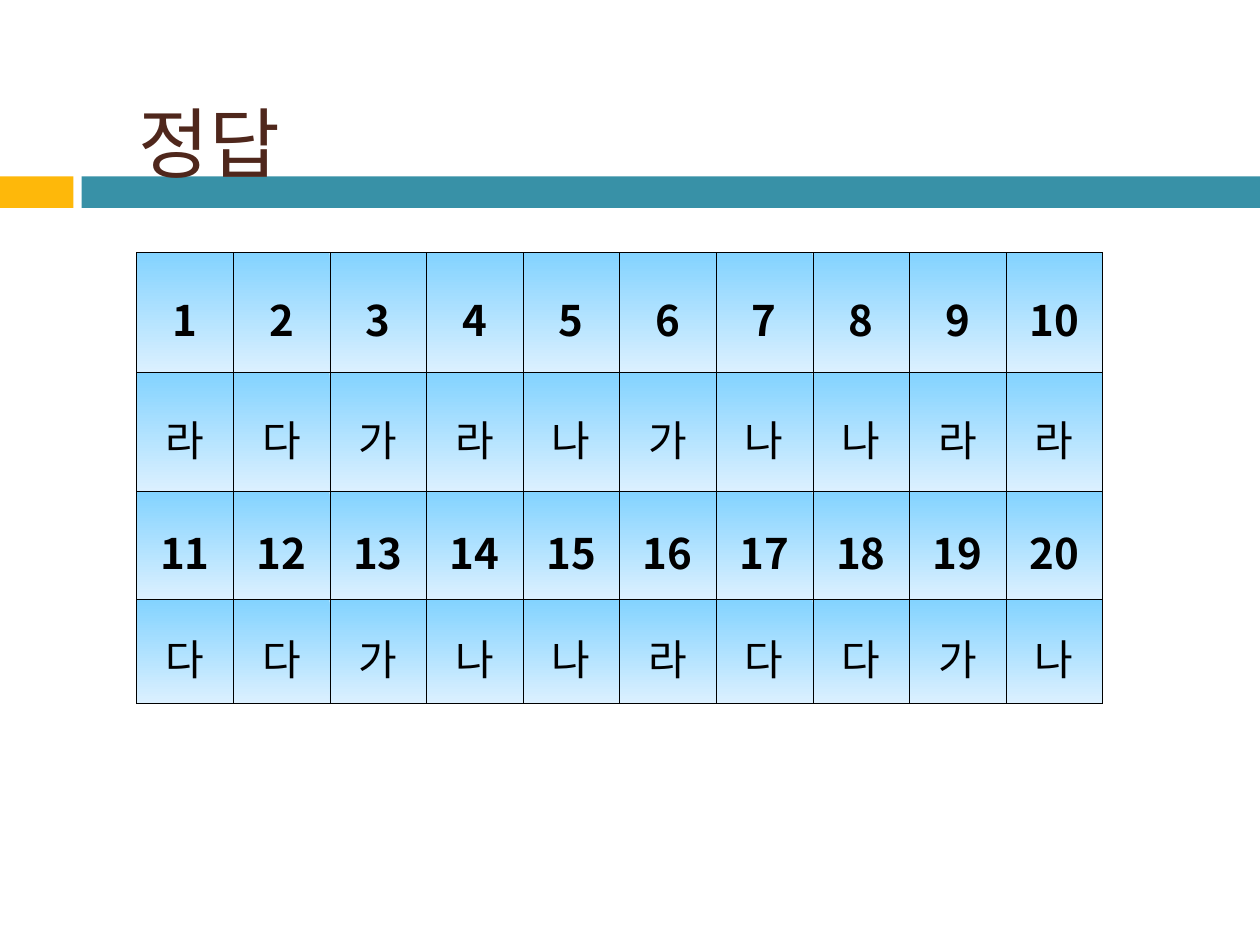
from typing import NamedTuple

from lxml import etree
from pptx import Presentation
from pptx.dml.color import RGBColor
from pptx.enum.shapes import MSO_SHAPE
from pptx.enum.text import MSO_ANCHOR, MSO_AUTO_SIZE, PP_ALIGN
from pptx.oxml.ns import qn
from pptx.util import Pt

RECT = MSO_SHAPE.RECTANGLE
MIDDLE = MSO_ANCHOR.MIDDLE
NO_FIT = MSO_AUTO_SIZE.NONE
LEFT, CENTER = PP_ALIGN.LEFT, PP_ALIGN.CENTER

FACE = "Noto Sans CJK KR"
COLORS = {
    "gold": "FEB80A",
    "teal": "3891A7",
    "brown": "4F271C",
    "black": "000000",
    "sky": "83D3FF",
    "pale": "DBF0FF",
}
SIDES = ("a:lnL", "a:lnR", "a:lnT", "a:lnB")
EDGE = Pt(0.11)


class Bar(NamedTuple):
    left: float
    width: float
    color: str


class Row(NamedTuple):
    height: float
    items: list[str]
    bold: bool


BARS = [Bar(0, 42, "gold"), Bar(46.6, 673.4, "teal")]
ROWS = [
    Row(68.5, [str(n) for n in range(1, 11)], True),
    Row(68, list("라다가라나가나나라라"), False),
    Row(61.8, [str(n) for n in range(11, 21)], True),
    Row(59.5, list("다다가나나라다다가나"), False),
]
COL = 55.2


def rgb(name: str) -> RGBColor:
    return RGBColor.from_string(COLORS[name])


def style(para, color: str, align, **form) -> None:
    para.alignment = align
    font = para.runs[0].font
    for key, value in form.items():
        setattr(font, key, value)
    font.color.rgb = rgb(color)
    font.name = FACE


def add_title(slide, text: str):
    title = slide.shapes.title
    spot = {"left": 72, "top": 54, "width": 570, "height": 54}
    for key, value in spot.items():
        setattr(title, key, Pt(value))
    frame = title.text_frame
    frame.text = text
    frame.auto_size = NO_FIT
    frame.vertical_anchor = MIDDLE
    style(frame.paragraphs[0], "brown", LEFT, size=Pt(44))
    return title


def add_bar(slide, bar: Bar, title) -> None:
    """Draw a bar that lies behind the title."""
    shape = slide.shapes.add_shape(
        RECT, Pt(bar.left), Pt(100.8), Pt(bar.width), Pt(18))
    shape.shadow.inherit = False
    shape.fill.solid()
    shape.fill.fore_color.rgb = rgb(bar.color)
    shape.line.fill.background()
    title.element.addprevious(shape.element)


def fill_cell(cell, text: str, bold: bool) -> None:
    cell.text = text
    cell.vertical_anchor = MIDDLE
    cell.fill.gradient()
    cell.fill.gradient_angle = 270
    for stop, name in zip(cell.fill.gradient_stops, ("sky", "pale")):
        stop.color.rgb = rgb(name)
    para = cell.text_frame.paragraphs[0]
    para.line_spacing = 1.2
    style(para, "black", CENTER, size=Pt(24), bold=bold)


def add_edges(props) -> None:
    """Put the four borders ahead of the fill in a cell's properties."""
    for spot, side in enumerate(SIDES):
        line = etree.Element(qn(side), w=str(EDGE))
        fill = etree.SubElement(line, qn("a:solidFill"))
        etree.SubElement(fill, qn("a:srgbClr"), val=COLORS["black"])
        props.insert(spot, line)


def add_grid(slide, rows: list[Row]) -> None:
    count = len(rows[0].items)
    frame = slide.shapes.add_table(
        len(rows), count, Pt(78), Pt(144.2), Pt(COL * count),
        Pt(sum(row.height for row in rows)))
    table = frame.table
    table.first_row = table.horz_banding = False
    for col in table.columns:
        col.width = Pt(COL)
    for line, row in zip(table.rows, rows):
        line.height = Pt(row.height)
        for cell, text in zip(line.cells, row.items):
            fill_cell(cell, text, row.bold)
    for props in frame.element.iter(qn("a:tcPr")):
        add_edges(props)


def set_asian(slide) -> None:
    """Use the same face for Korean text as for Latin text."""
    for latin in list(slide.element.iter(qn("a:latin"))):
        latin.addnext(etree.Element(qn("a:ea"), typeface=FACE))


def main() -> None:
    deck = Presentation()
    deck.slide_width, deck.slide_height = Pt(720), Pt(540)
    slide = deck.slides.add_slide(deck.slide_layouts[5])
    title = add_title(slide, "정답")
    for bar in BARS:
        add_bar(slide, bar, title)
    add_grid(slide, ROWS)
    set_asian(slide)
    deck.save("out.pptx")


if __name__ == "__main__":
    main()
